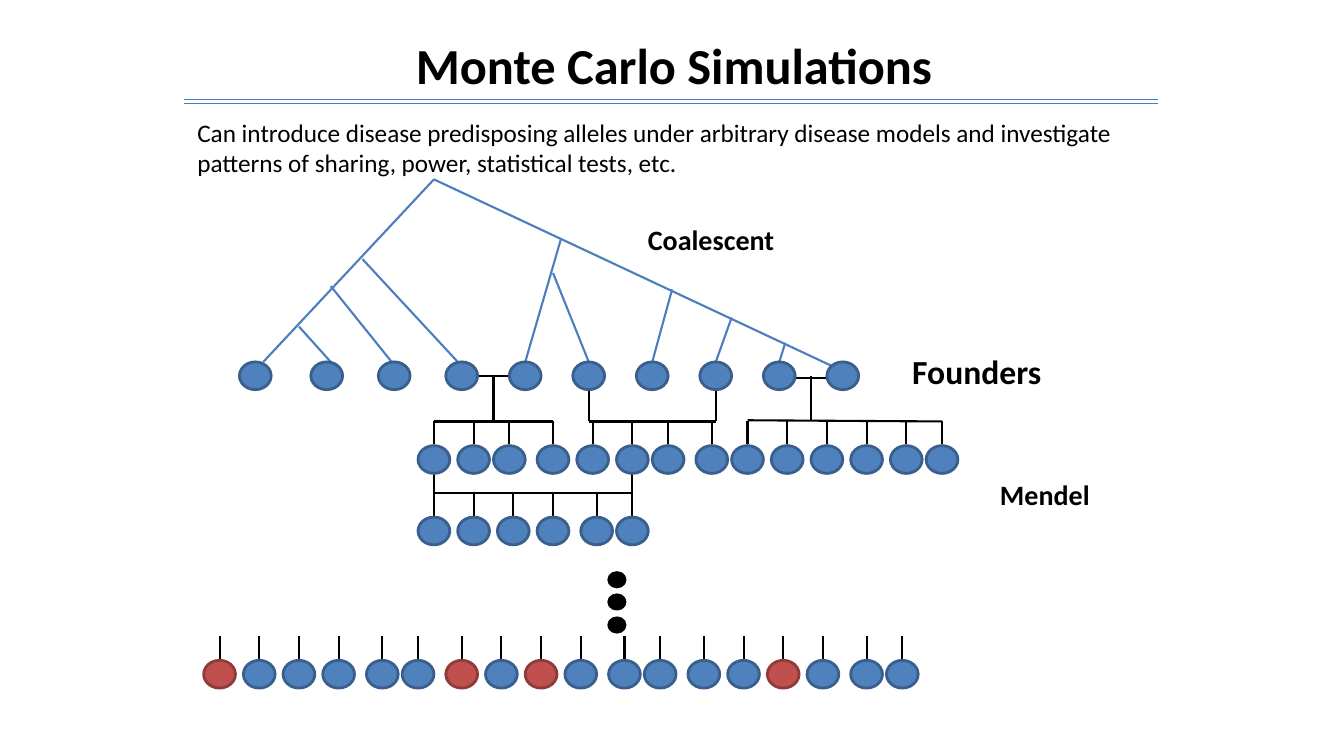
from pptx import Presentation
from pptx.dml.color import RGBColor
from pptx.enum.shapes import MSO_CONNECTOR as CONNECTOR, MSO_SHAPE as SHAPE
from pptx.enum.text import MSO_ANCHOR as ANCHOR, PP_ALIGN as ALIGN
from pptx.oxml.ns import qn
from pptx.util import Inches, Mm, Pt
from lxml.etree import SubElement

BLACK = RGBColor(0x00, 0x00, 0x00)
BLUE = RGBColor(0x4F, 0x81, 0xBD)
BLUE_EDGE = RGBColor(0x3A, 0x5F, 0x8C)
BRANCH = RGBColor(0x4B, 0x7E, 0xBC)
RED = RGBColor(0xC0, 0x50, 0x4D)
RED_EDGE = RGBColor(0x8E, 0x3B, 0x39)

deck = Presentation()
deck.slide_width, deck.slide_height = Inches(13.33), Inches(7.5)
slide = deck.slides.add_slide(deck.slide_layouts[6])
shapes = slide.shapes

CELL = Mm(1)
MARGIN = deck.slide_width // 8
PERSON_W, PERSON_H = 8, 7
DOT_W, DOT_H = 4.1, 3.6
DROP = 6.1
FOUNDER_ROW, CHILD_ROW, GRANDCHILD_ROW, SAMPLE_ROW = 91.2, 112.3, 130.3, 166.4


def write(text, col, row, cols, rows, size=20, bold=True, align=ALIGN.LEFT,
          anchor=ANCHOR.TOP, wrap=False):
    box = shapes.add_textbox(MARGIN + int(col * CELL), int(row * CELL),
                             int(cols * CELL), int(rows * CELL))
    frame = box.text_frame
    frame.word_wrap = wrap
    frame.vertical_anchor = anchor
    frame.text = text
    for paragraph in frame.paragraphs:
        paragraph.alignment = align
        font = paragraph.font
        font.name, font.size, font.bold = "Calibri", Pt(size), bold
        font.color.rgb = BLACK


def draw_line(col, row, end_col, end_row, color=BLACK, width=1.5):
    line = shapes.add_connector(
        CONNECTOR.STRAIGHT,
        MARGIN + int(col * CELL), int(row * CELL),
        MARGIN + int(end_col * CELL), int(end_row * CELL))
    line.line.color.rgb = color
    line.line.width = Pt(width)
    SubElement(line._element.spPr, qn("a:effectLst"))


write("Monte Carlo Simulations", 12.8, 4.3, 229.4, 23.6, size=36,
      align=ALIGN.CENTER, anchor=ANCHOR.MIDDLE, wrap=True)
for rule_row in (25.1, 26.2):
    draw_line(4.1, rule_row, 249.5, rule_row, BRANCH, 0.75)
write("Can introduce disease predisposing alleles under arbitrary disease models and investigate\n"
      "patterns of sharing, power, statistical tests, etc.",
      4.9, 28.2, 239.8, 18, size=18, bold=False)
write("Coalescent", 118.4, 54.9, 37.3, 11.2)
write("Founders", 185, 87.1, 37.8, 12.7, size=24)
write("Mendel", 207.1, 119.1, 27.9, 11.2)

coalescent = [
    (67, 45.2, 24, FOUNDER_ROW),
    (67, 45.2, 167.2, 92.2),
    (33, 82.3, 41, FOUNDER_ROW),
    (49, 65.3, 73, FOUNDER_ROW),
    (99, 60.2, 90, FOUNDER_ROW),
    (41, 72.1, 57, 92),
    (97, 68.8, 106, FOUNDER_ROW),
    (127, 72.9, 122, FOUNDER_ROW),
    (142, 80, 138, FOUNDER_ROW),
    (155.5, 86.4, 154, FOUNDER_ROW),
]
for branch in coalescent:
    draw_line(*branch, color=BRANCH)

founders = [22, 40, 57] + [74 + 16 * i for i in range(7)]
first_family = [67, 77, 86, 97]
second_family = [107, 117, 126, 137]
third_family = [146, 156, 166, 176, 186, 195]
grandchildren = [67, 77, 87, 97, 108, 117]
samples = [13, 23, 33, 43, 54, 63, 74, 84, 94, 104, 115, 124,
           135, 145, 155, 165, 176, 185]
affected = {13, 74, 94, 155}

child_bar = CHILD_ROW - DROP
grandchild_bar = GRANDCHILD_ROW - DROP
family_bars = [
    (78, 94.7, 86, 94.7),
    (82, 94.7, 82, child_bar),
    (67, child_bar, 97, child_bar),
    (106, 98.3, 106, child_bar),
    (138, 98.3, 138, child_bar),
    (106, child_bar, 138, child_bar),
    (158, 95.2, 166, 95.2),
    (162, 94.7, 162, 105.9),
    (146, 105.9, 195, child_bar),
    (67, 119.1, 67, grandchild_bar),
    (117, 119.1, 117, grandchild_bar),
    (67, grandchild_bar, 117, grandchild_bar),
]
for bar in family_bars:
    draw_line(*bar)

children = first_family + second_family + third_family
ovals = [(center, FOUNDER_ROW, PERSON_W, PERSON_H, BLUE, BLUE_EDGE) for center in founders]
for row, generation in ((CHILD_ROW, children), (GRANDCHILD_ROW, grandchildren),
                        (SAMPLE_ROW, samples)):
    for center in generation:
        draw_line(center, row - DROP, center, row - 0.3)
        is_affected = row == SAMPLE_ROW and center in affected
        fill, edge = (RED, RED_EDGE) if is_affected else (BLUE, BLUE_EDGE)
        ovals.append((center, row, PERSON_W, PERSON_H, fill, edge))
ovals += [(113.1, row, DOT_W, DOT_H, BLACK, BLACK) for row in (144.3, 149.9, 155.7)]

for center, row, cols, rows, fill, edge in ovals:
    oval = shapes.add_shape(SHAPE.OVAL, MARGIN + int((center - cols / 2) * CELL),
                            int(row * CELL), int(cols * CELL), int(rows * CELL))
    oval.shadow.inherit = False
    oval.fill.solid()
    oval.fill.fore_color.rgb = fill
    oval.line.color.rgb = edge
    oval.line.width = Pt(2)

deck.save("out.pptx")
